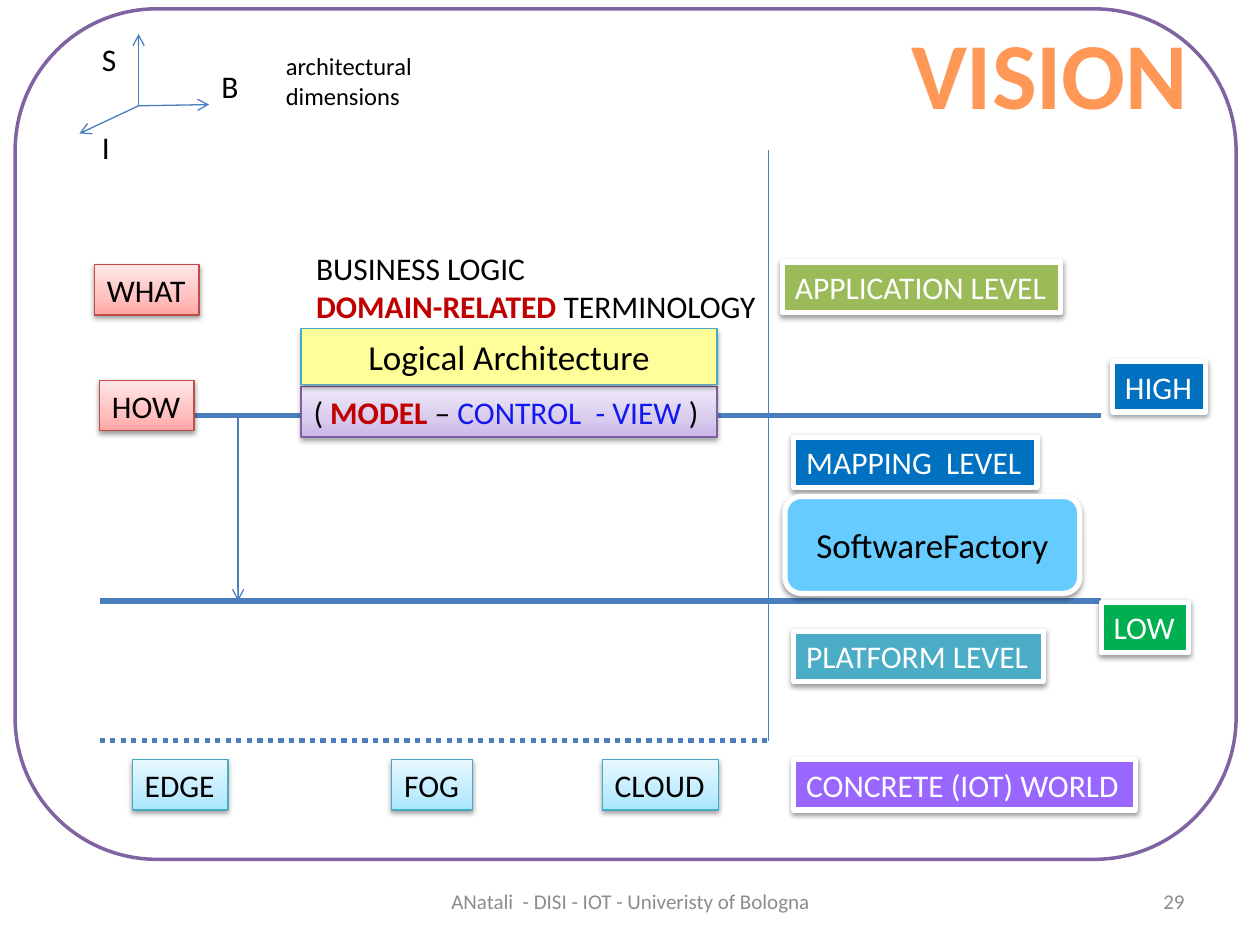
from lxml import etree
from pptx import Presentation
from pptx.dml.color import RGBColor
from pptx.enum.dml import MSO_LINE
from pptx.enum.shapes import MSO_CONNECTOR, MSO_SHAPE
from pptx.enum.text import MSO_ANCHOR, MSO_AUTO_SIZE, PP_ALIGN
from pptx.oxml.ns import qn
from pptx.util import Inches, Pt

RECT, ROUNDED = MSO_SHAPE.RECTANGLE, MSO_SHAPE.ROUNDED_RECTANGLE
STRAIGHT = MSO_CONNECTOR.STRAIGHT
DOTTED = MSO_LINE.ROUND_DOT
TOP, MIDDLE = MSO_ANCHOR.TOP, MSO_ANCHOR.MIDDLE
LEFT, CENTER, RIGHT = PP_ALIGN.LEFT, PP_ALIGN.CENTER, PP_ALIGN.RIGHT
GROW, FIXED = MSO_AUTO_SIZE.SHAPE_TO_FIT_TEXT, MSO_AUTO_SIZE.NONE

THEME = {
    "font": "Calibri",
    "black": "000000", "white": "FFFFFF", "gray": "8C8C8C",
    "red": "C00000", "ink_blue": "1318ED", "orange": "FF9856",
    "line": "4B7EBC", "frame": "8064A2",
    "footer": 12, "note": 14, "label": 18, "heading": 20, "title": 54,
    "thin": 0.75, "frame_width": 2, "thick": 3,
}
GRADIENTS = {
    "pink": ([(0, "FFA6A5"), (35, "FFC0BF"), (100, "FFE7E7")], "BF4C48"),
    "purple": ([(0, "C9B5E8"), (35, "D8CBEE"), (100, "F0EAF9")], "7D60A0"),
    "aqua": ([(0, "A7E6FF"), (35, "C1EDFF"), (100, "E7F8FF")], "46AAC5"),
}

LABEL_HEIGHT = 0.4
LEVEL_LEFT, WORLD_TOP = 6.3, 6.03
AXIS_X, AXIS_Y = 1.1, 0.84
MAP_LEFT, MAP_RIGHT, DIVIDER_X = 0.79, 8.74, 6.1
HIGH_Y, LOW_Y, WORLD_Y = 3.3, 4.77, 5.88

LINES = [
    ((MAP_LEFT, HIGH_Y), (MAP_RIGHT, HIGH_Y), "thick", None, False),
    ((MAP_LEFT, LOW_Y), (MAP_RIGHT, LOW_Y), "thick", None, False),
    ((MAP_LEFT, WORLD_Y), (DIVIDER_X, WORLD_Y), "thick", DOTTED, False),
    ((DIVIDER_X, 1.19), (DIVIDER_X, WORLD_Y), "thin", None, False),
    ((1.89, HIGH_Y), (1.89, LOW_Y), "thin", None, True),
    ((AXIS_X, AXIS_Y), (AXIS_X, 0.27), "thin", None, True),
    ((AXIS_X, AXIS_Y), (0.63, 1.06), "thin", None, True),
    ((AXIS_X, AXIS_Y), (1.66, 0.83), "thin", None, True),
]
GRADIENT_LABELS = [
    ([("WHAT", "black", False)], 0.75, 2.1, 0.83, "pink"),
    ([("HOW", "black", False)], 0.79, 3.02, 0.75, "pink"),
    ([("( ", "black", False), ("MODEL", "red", True), (" – ", "black", False),
      ("CONTROL  - VIEW ", "ink_blue", False), (")", "black", False)],
     2.39, 3.07, 3.3, "purple"),
    ([("EDGE", "black", False)], 1.05, WORLD_TOP, 0.76, "aqua"),
    ([("FOG", "black", False)], 3.11, WORLD_TOP, 0.64, "aqua"),
    ([("CLOUD", "black", False)], 4.78, WORLD_TOP, 0.92, "aqua"),
]
LEVEL_LABELS = [
    ("APPLICATION LEVEL", 6.21, 2.08, 2.21, "9BBB59"),
    ("PLATFORM LEVEL", LEVEL_LEFT, 5.01, 1.98, "4BACC6"),
    ("MAPPING  LEVEL", LEVEL_LEFT, 3.47, 1.93, "0070C0"),
    ("LOW", MAP_RIGHT, 4.78, 0.69, "00B050"),
    ("HIGH", 8.83, 2.87, 0.74, "0070C0"),
    ("CONCRETE (IOT) WORLD", LEVEL_LEFT, WORLD_TOP, 2.71, "9966FF"),
]
HEADINGS = [
    ("Logical Architecture", RECT, (2.39, 2.61, 3.3, 0.44), "FFFF99", "46AAC5", "thin", TOP),
    ("SoftwareFactory", ROUNDED, (6.23, 3.94, 2.34, 0.77), "66CCFF", "FFFFFF", "thick", MIDDLE),
]
TEXTS = [
    ([[("VISION", "orange", True)]], (7.12, 0.07, 2.42, 1.01), "title", CENTER),
    ([[("BUSINESS LOGIC", "black", False)],
      [("DOMAIN-RELATED", "red", True), (" TERMINOLOGY", "black", False)]],
     (2.41, 1.93, 3.72, 0.71), "label", LEFT),
    ([[("S", "black", False)]], (0.71, 0.27, 0.32, 0.4), "label", LEFT),
    ([[("I", "black", False)]], (0.71, 0.97, 0.27, 0.4), "label", LEFT),
    ([[("B", "black", False)]], (1.66, 0.48, 0.34, 0.4), "label", LEFT),
    ([[("architectural", "black", False)], [("dimensions", "black", False)]],
     (2.17, 0.36, 1.26, 0.57), "note", LEFT),
]
FOOTERS = [
    ("ANatali  - DISI - IOT - Univeristy of Bologna", (3.42, 6.95, 3.17, 0.4), CENTER),
    ("29", (7.17, 6.95, 2.33, 0.4), RIGHT),
]


def color(value):
    return RGBColor.from_string(value)


def write(box, paragraphs, size, align=LEFT, anchor=TOP, wrap=False, fit=GROW):
    frame = box.text_frame
    frame.word_wrap, frame.auto_size, frame.vertical_anchor = wrap, fit, anchor
    for index, spans in enumerate(paragraphs):
        para = frame.add_paragraph() if index else frame.paragraphs[0]
        para.alignment = align
        for text, tone, bold in spans:
            span = para.add_run()
            span.text = text
            span.font.name, span.font.size = THEME["font"], Pt(THEME[size])
            span.font.bold = bold
            span.font.color.rgb = color(THEME[tone])


def add_text(page, place, *args, **options):
    write(page.shapes.add_textbox(*map(Inches, place)), *args, **options)


def add_box(page, kind, place, fill, outline, width, shadow=True):
    box = page.shapes.add_shape(kind, *map(Inches, place))
    box.line.color.rgb, box.line.width = color(outline), Pt(THEME[width])
    if isinstance(fill, str):
        box.fill.solid()
        box.fill.fore_color.rgb = color(fill)
    else:
        box.fill.gradient()
        box.fill.gradient_angle = 90
        stops = box._element.spPr.find(f"{qn('a:gradFill')}/{qn('a:gsLst')}")
        stops.clear()
        for position, tone in fill:
            stop = etree.SubElement(stops, qn("a:gs"), pos=str(position * 1000))
            etree.SubElement(stop, qn("a:srgbClr"), val=tone)
    box.shadow.inherit = False
    if shadow:
        effects = box._element.spPr.find(qn("a:effectLst"))
        outer = etree.SubElement(effects, qn("a:outerShdw"), blurRad=str(Pt(3.1)),
                                 dist=str(Pt(1.6)), dir="5400000", rotWithShape="0")
        tone = etree.SubElement(outer, qn("a:srgbClr"), val=THEME["black"])
        etree.SubElement(tone, qn("a:alpha"), val="38000")
    return box


def add_line(page, start, end, width, dash, arrow):
    line = page.shapes.add_connector(STRAIGHT, *map(Inches, start + end))
    line.line.color.rgb, line.line.width = color(THEME["line"]), Pt(THEME[width])
    if dash:
        line.line.dash_style = dash
    if arrow:
        etree.SubElement(line.line._get_or_add_ln(), qn("a:tailEnd"), type="arrow")
    etree.SubElement(line._element.spPr, qn("a:effectLst"))


def main():
    deck = Presentation()
    deck.slide_width, deck.slide_height = Inches(10), Inches(7.5)
    page = deck.slides.add_slide(deck.slide_layouts[6])
    add_box(page, ROUNDED, (0.12, 0.07, 9.69, 6.75), THEME["white"], THEME["frame"],
            "frame_width", shadow=False)
    for text, place, align in FOOTERS:
        add_text(page, place, [[(text, "gray", False)]], "footer", align, MIDDLE, True, FIXED)
    for line in LINES:
        add_line(page, *line)
    for paragraphs, place, size, align in TEXTS:
        add_text(page, place, paragraphs, size, align)
    for spans, left, top, width, name in GRADIENT_LABELS:
        stops, outline = GRADIENTS[name]
        box = add_box(page, RECT, (left, top, width, LABEL_HEIGHT), stops, outline, "thin")
        write(box, [spans], "label")
    for text, left, top, width, fill in LEVEL_LABELS:
        box = add_box(page, RECT, (left, top, width, LABEL_HEIGHT), fill, THEME["white"], "thick")
        write(box, [[(text, "white", False)]], "label")
    for text, kind, place, fill, outline, width, anchor in HEADINGS:
        box = add_box(page, kind, place, fill, outline, width)
        write(box, [[(text, "black", False)]], "heading", CENTER, anchor, True, FIXED)
    deck.save("out.pptx")


if __name__ == "__main__":
    main()
